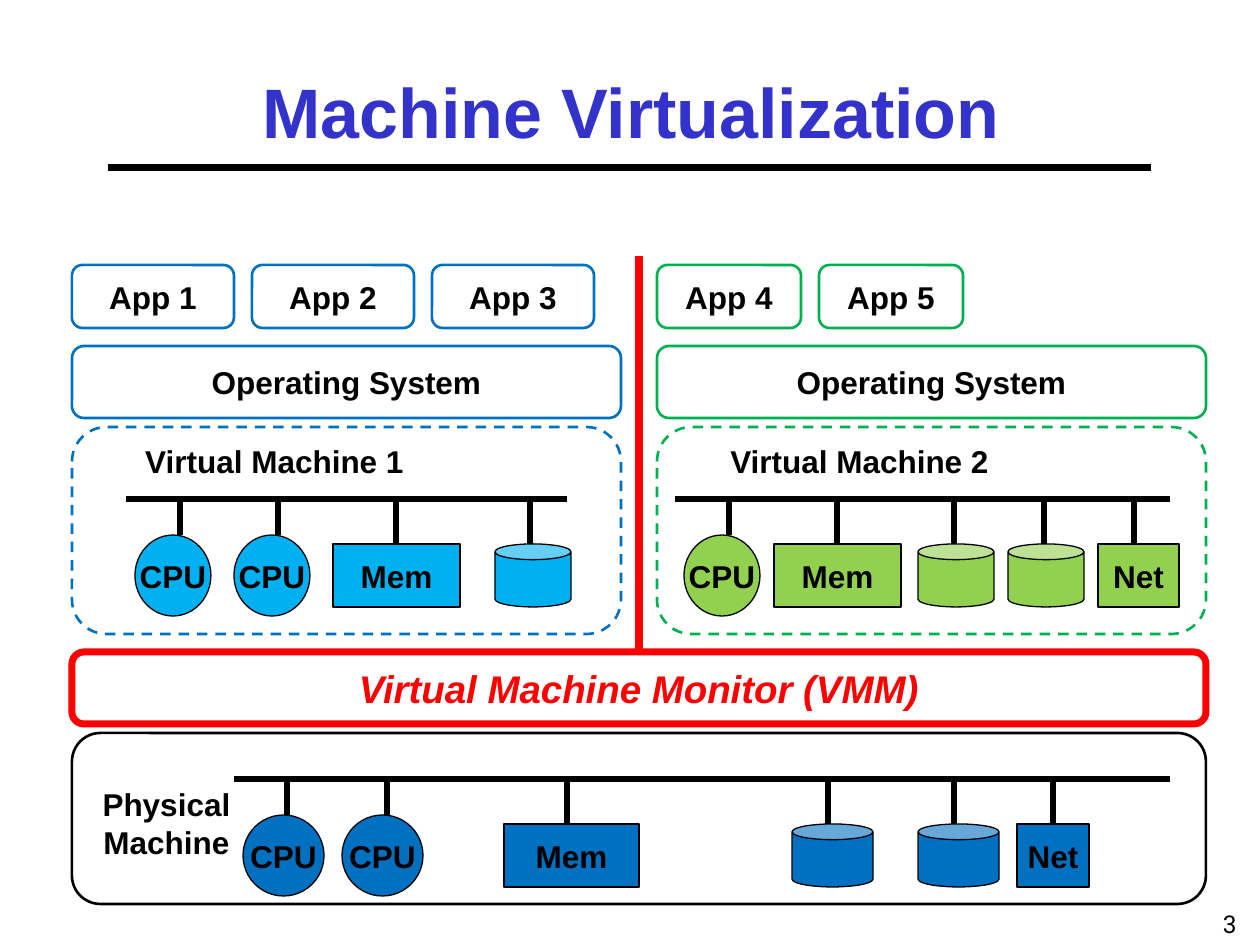
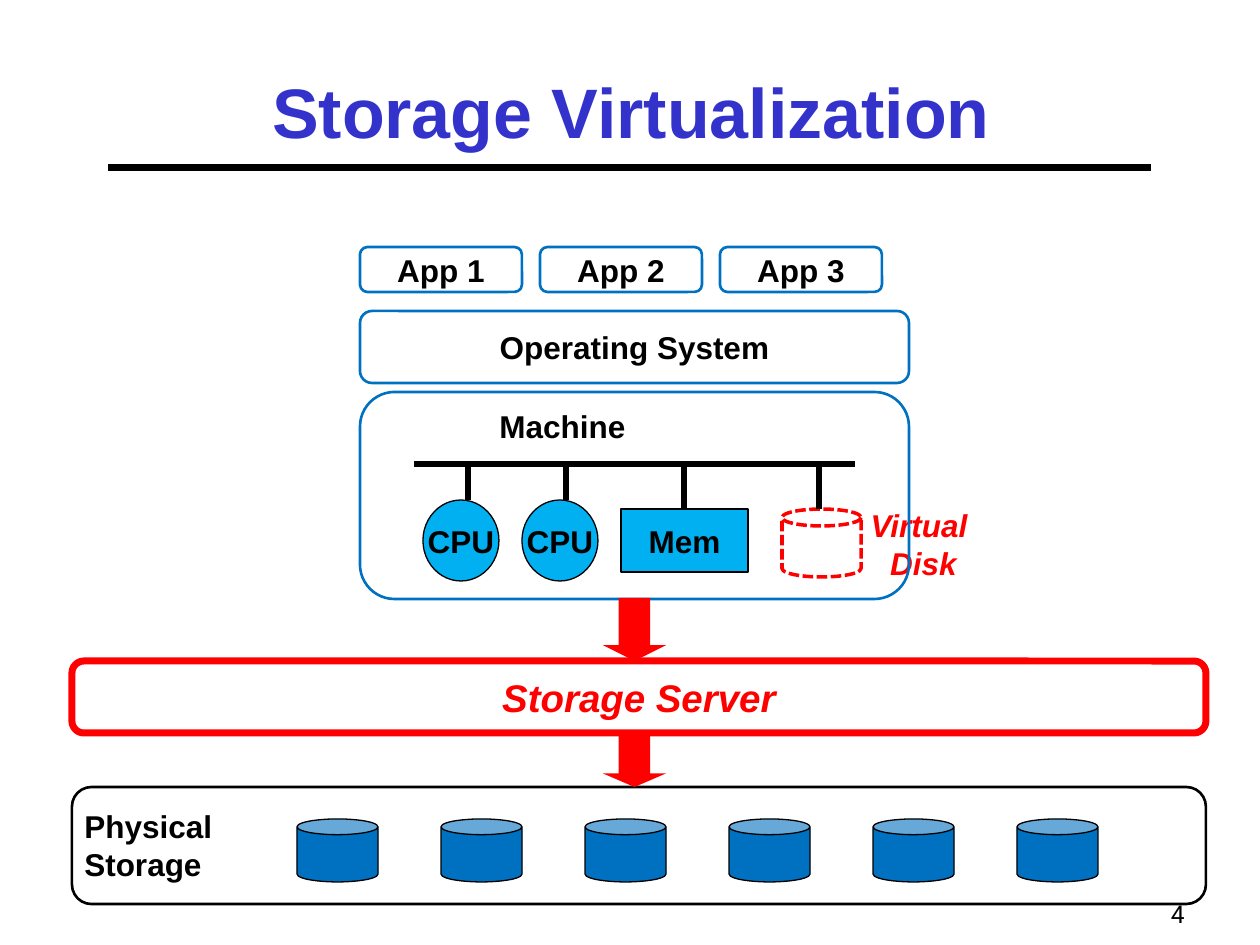
from dataclasses import dataclass, replace
from typing import Optional

from lxml.etree import SubElement
from pptx import Presentation
from pptx.dml.color import RGBColor
from pptx.enum.dml import MSO_LINE
from pptx.enum.shapes import MSO_CONNECTOR, MSO_SHAPE
from pptx.enum.text import MSO_ANCHOR, PP_ALIGN
from pptx.oxml.ns import qn
from pptx.util import Emu, Pt

PX = 914400 / 126  # EMU per pixel

BLACK, WHITE, RED, TITLE = "000000", "FFFFFF", "FF0000", "3333CC"
BLUE, SKY, GREEN, LIME = "0070C0", "00B0F0", "00B050", "92D050"


@dataclass(frozen=True)
class Box:
    x: int
    y: int
    w: int
    h: int


@dataclass(frozen=True)
class Font:
    size: int = 18
    color: str = BLACK
    bold: bool = True
    italic: bool = False
    name: str = "Arial"


@dataclass(frozen=True)
class Outline:
    color: str = BLACK
    width: float = 0.75
    dash: Optional[MSO_LINE] = None


@dataclass(frozen=True)
class Device:
    kind: str
    x: int
    w: int
    drop: int  # x of the line up to the bus


LABEL = Font()
LAYER = Font(22, RED, italic=True)

# Device kind: preset shape, distance below the bus, height
KINDS = {
    "CPU": (MSO_SHAPE.OVAL, 36, 81),
    "Mem": (MSO_SHAPE.RECTANGLE, 45, 63),
    "Net": (MSO_SHAPE.RECTANGLE, 45, 63),
    "Disk": (MSO_SHAPE.CAN, 45, 63),
}
CORES = [Device("CPU", 135, 76, 180), Device("CPU", 234, 76, 278),
         Device("Mem", 333, 127, 396)]
VM1 = CORES + [Device("Disk", 495, 76, 530)]
VM2 = [Device("CPU", 684, 76, 729), Device("Mem", 774, 127, 837),
       Device("Disk", 918, 76, 954), Device("Disk", 1008, 76, 1044),
       Device("Net", 1098, 81, 1134)]
PHYSICAL = [Device("CPU", 243, 81, 287), Device("CPU", 342, 81, 387),
            Device("Mem", 504, 135, 567), Device("Disk", 792, 81, 828),
            Device("Disk", 918, 81, 954), Device("Net", 1017, 72, 1053)]


def px(n: float) -> Emu:
    return Emu(round(n * PX))


def rgb(color: str) -> RGBColor:
    return RGBColor.from_string(color)


def frame(box: Box) -> tuple:
    return px(box.x), px(box.y), px(box.w), px(box.h)


def write(tf, text: str, font: Font, align=PP_ALIGN.CENTER) -> None:
    p = tf.paragraphs[0]
    p.alignment = align
    for i, line in enumerate(text.split("\n")):
        if i:
            p.add_line_break()
        r = p.add_run()
        r.text = line
        f = r.font
        f.name, f.size, f.bold, f.italic = font.name, Pt(font.size), font.bold, font.italic
        f.color.rgb = rgb(font.color)


def add_text(s, box: Box, text: str, font: Font = LABEL, align=PP_ALIGN.CENTER,
             anchor=MSO_ANCHOR.TOP):
    tf = s.shapes.add_textbox(*frame(box)).text_frame
    tf.word_wrap = True
    tf.vertical_anchor = anchor
    write(tf, text, font, align)
    return tf


def add_shape(s, preset, box: Box, fill: Optional[str] = None,
              outline: Optional[Outline] = Outline(), text: str = "",
              font: Font = LABEL):
    sp = s.shapes.add_shape(preset, *frame(box))
    sp.shadow.inherit = False
    if fill:
        sp.fill.solid()
        sp.fill.fore_color.rgb = rgb(fill)
    else:
        sp.fill.background()
    if outline:
        sp.line.color.rgb = rgb(outline.color)
        sp.line.width = Pt(outline.width)
        if outline.dash:
            sp.line.dash_style = outline.dash
    else:
        sp.line.fill.background()
    if text:
        tf = sp.text_frame
        tf.word_wrap = False
        tf.vertical_anchor = MSO_ANCHOR.MIDDLE
        write(tf, text, font)
    return sp


def add_panel(s, box: Box, outline: Outline, text: str = "", font: Font = LABEL) -> None:
    add_shape(s, MSO_SHAPE.ROUNDED_RECTANGLE, box, None, outline, text, font)


def add_line(s, x1: int, y1: int, x2: int, y2: int, width: float = 3,
             color: str = BLACK) -> None:
    ln = s.shapes.add_connector(MSO_CONNECTOR.STRAIGHT, px(x1), px(y1), px(x2), px(y2))
    ln.line.color.rgb = rgb(color)
    ln.line.width = Pt(width)
    SubElement(ln._element.spPr, qn("a:effectLst"))


def add_bus(s, x1: int, x2: int, y: int, devices: list[Device], fill: str) -> None:
    """Devices hanging from a horizontal bus line."""
    for d in devices:
        preset, gap, height = KINDS[d.kind]
        add_shape(s, preset, Box(d.x, y + gap, d.w, height), fill,
                  text="" if d.kind == "Disk" else d.kind)
    add_line(s, x1, y, x2, y)
    for d in devices:
        add_line(s, d.drop, y, d.drop, y + KINDS[d.kind][1])


def add_apps(s, first: int, count: int, box: Box, color: str) -> None:
    for i in range(count):
        add_panel(s, replace(box, x=box.x + i * (box.w + 18)),
                  Outline(color, 1.5), f"App {first + i}")


def add_machine(s, x: int, y: int, color: str, name: str, dash=None) -> None:
    """Operating system above the outline and name of a machine."""
    add_panel(s, Box(x, y, 549, 72), Outline(color, 1.5), "Operating System")
    add_panel(s, Box(x, y + 81, 549, 207), Outline(color, 1.5, dash))
    add_text(s, Box(x + 18, y + 90, 369, 50), name)


def add_layer(s, y: int, text: str) -> None:
    add_panel(s, Box(72, y, 1134, 72), Outline(RED, 4), text, LAYER)


def add_slide(prs, title: str, number: int, number_box: Box):
    """Blank slide with title, rule and page number."""
    s = prs.slides.add_slide(prs.slide_layouts[6])
    add_line(s, 108, 168, 1151, 168, 4)
    tf = add_text(s, Box(94, 32, 1074, 157), title, Font(40, TITLE),
                  anchor=MSO_ANCHOR.MIDDLE)
    tf.margin_left = tf.margin_right = tf.margin_top = tf.margin_bottom = 0
    add_text(s, number_box, str(number), Font(14, bold=False, name="Roboto"),
             PP_ALIGN.RIGHT, MSO_ANCHOR.BOTTOM)
    return s


def machine_slide(prs) -> None:
    s = add_slide(prs, "Machine Virtualization", 3, Box(987, 882, 262, 63))

    # Physical machine
    add_panel(s, Box(72, 733, 1134, 171), Outline(width=1.5))
    add_bus(s, 234, 1170, 779, PHYSICAL, BLUE)
    add_text(s, Box(72, 779, 189, 88), "Physical Machine")

    # Virtual machines on either side of the divider
    add_machine(s, 72, 346, BLUE, "Virtual Machine 1", MSO_LINE.DASH)
    add_bus(s, 126, 567, 499, VM1, SKY)
    add_line(s, 639, 652, 639, 256, 5, RED)
    add_machine(s, 657, 346, GREEN, "Virtual Machine 2", MSO_LINE.DASH)
    add_bus(s, 675, 1170, 499, VM2, LIME)

    # Monitor and applications
    add_layer(s, 652, "Virtual Machine Monitor (VMM)")
    add_apps(s, 1, 3, Box(72, 265, 162, 63), BLUE)
    add_apps(s, 4, 2, Box(657, 265, 144, 63), GREEN)


def storage_slide(prs) -> None:
    s = add_slide(prs, "Storage Virtualization", 4, Box(935, 872, 262, 63))

    # Virtual disk, behind the machine outline
    add_shape(s, MSO_SHAPE.CAN, Box(782, 509, 79, 68), WHITE,
              Outline(RED, 2, MSO_LINE.SQUARE_DOT))
    add_text(s, Box(849, 500, 149, 88), "Virtual \nDisk", Font(color=RED, italic=True))

    # Machine and applications
    shift = 288
    add_machine(s, 72 + shift, 311, BLUE, "Machine")
    cores = [replace(d, x=d.x + shift, drop=d.drop + shift) for d in CORES]
    add_bus(s, 126 + shift, 567 + shift, 464, cores, SKY)
    add_line(s, 819, 464, 819, 509)
    add_apps(s, 1, 3, Box(360, 247, 162, 45), BLUE)

    # Physical storage
    add_panel(s, Box(72, 787, 1134, 117), Outline(width=1.5))
    add_text(s, Box(72, 801, 189, 88), "Physical Storage", align=PP_ALIGN.LEFT)
    for i in range(6):
        add_shape(s, MSO_SHAPE.CAN, Box(297 + 144 * i, 819, 81, 63), BLUE)

    # Storage server between two arrows
    for y, height in ((598, 63), (733, 54)):
        arrow = add_shape(s, MSO_SHAPE.DOWN_ARROW, Box(603, y, 63, height), RED, None)
        arrow.adjustments[1] = 0.25
    add_layer(s, 661, "Storage Server")


prs = Presentation()
prs.slide_width, prs.slide_height = px(1260), px(945)
machine_slide(prs)
storage_slide(prs)
prs.save("out.pptx")
